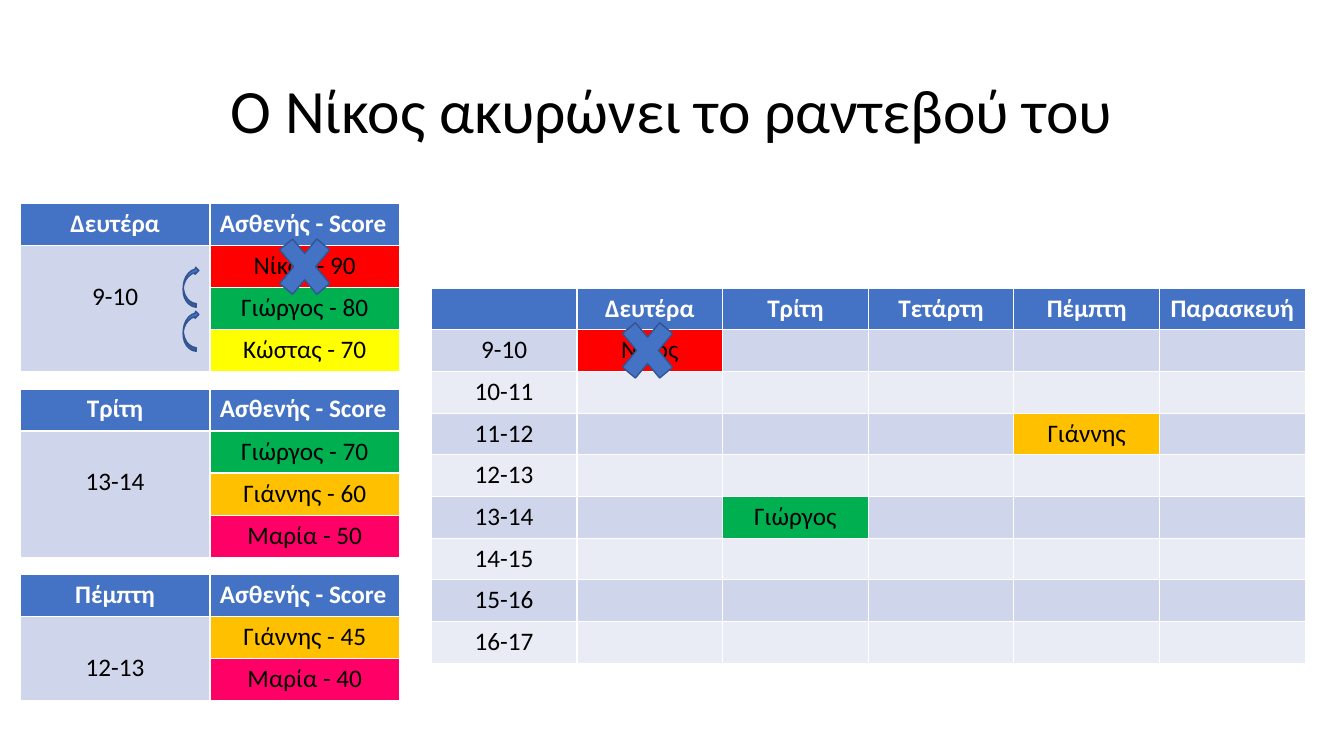
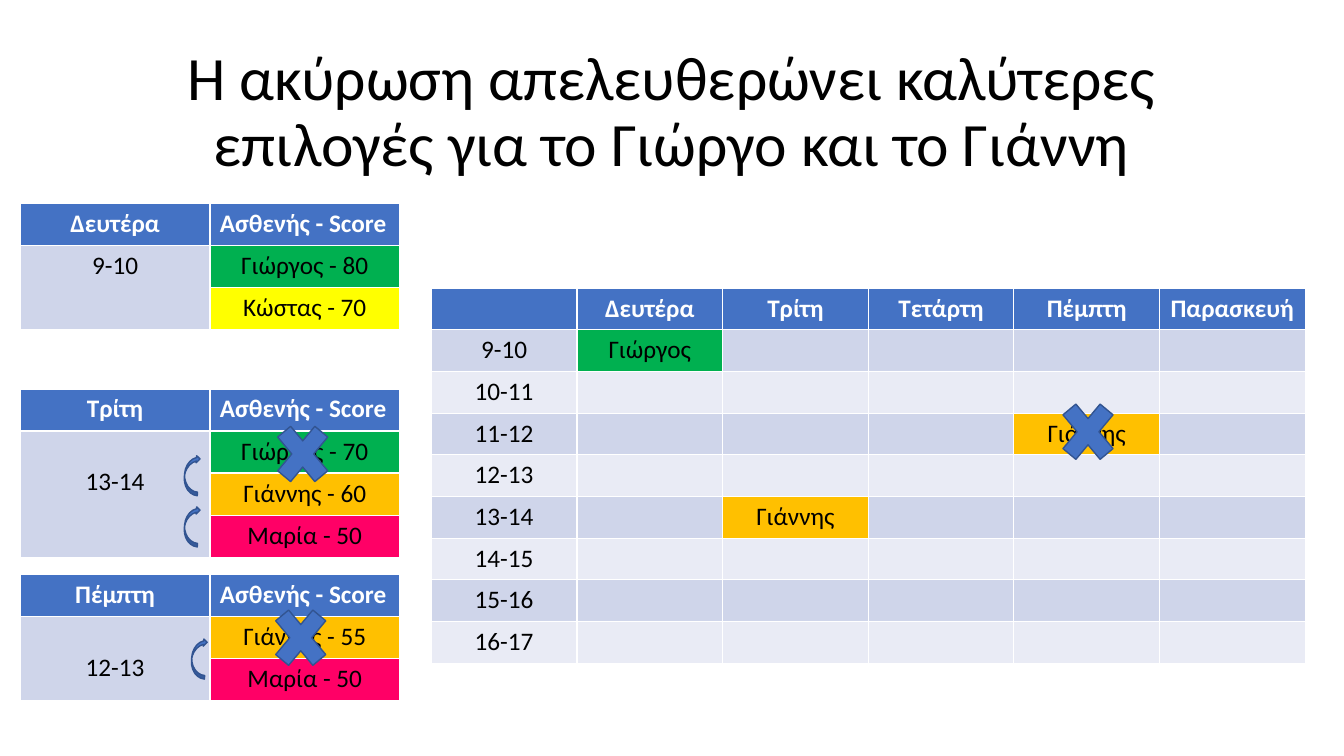
from pptx import Presentation
from pptx.dml.color import RGBColor as RGB
from pptx.enum.shapes import MSO_SHAPE as Kind
from pptx.enum.text import MSO_ANCHOR as Anchor, MSO_AUTO_SIZE as Fit, PP_ALIGN as Align
from pptx.util import Cm, Pt

HUES = {"head": "4472C4", "edge": "325491", "odd": "CFD5EA", "even": "E9EBF5",
        "white": "FFFFFF", "black": "000000"}
NAMES = {"Νίκος": "FF0000", "Γιώργος": "00B050", "Κώστας": "FFFF00",
         "Γιάννης": "FFC000", "Μαρία": "FF0066"}
DAYS = ["Δευτέρα", "Τρίτη", "Τετάρτη", "Πέμπτη", "Παρασκευή"]
HOURS = [f"{h}-{h + 1}" for h in range(9, 17)]


class Deck:
    font = "Calibri"

    def __init__(self):
        self.prs = Presentation()
        self.prs.slide_width, self.prs.slide_height = Cm(33.87), Cm(19.05)

    def style(self, par, size, hue, bold=False, align=Align.CENTER):
        par.alignment = align
        par.font.name, par.font.size, par.font.bold = self.font, Pt(size), bold
        par.font.color.rgb = RGB.from_string(HUES[hue])

    def page(self, text):
        self.slide = self.prs.slides.add_slide(self.prs.slide_layouts[5])
        title = self.slide.shapes.title
        title.left, title.top = Cm(2.33), Cm(1.02)
        title.width, title.height = Cm(29.21), Cm(3.68)
        frame = title.text_frame
        frame.text = text
        frame.word_wrap, frame.auto_size = True, Fit.NONE
        frame.vertical_anchor = Anchor.MIDDLE
        par = frame.paragraphs[0]
        self.style(par, 44, "black")
        par.line_spacing = 0.9

    def cell(self, cell, text, fill, hue="black", bold=False, align=Align.CENTER):
        cell.fill.solid()
        cell.fill.fore_color.rgb = RGB.from_string(fill)
        if text:
            cell.text = text
            self.style(cell.text_frame.paragraphs[0], 18, hue, bold, align)

    def head(self, cell, text, align=Align.CENTER):
        self.cell(cell, text, HUES["head"], "white", True, align)

    def table(self, rows, cols, x, y, wide, high):
        table = self.slide.shapes.add_table(
            rows, cols, Cm(x), Cm(y), Cm(wide * cols), Cm(high * rows)).table
        for col in table.columns:
            col.width = Cm(wide)
        for row in table.rows:
            row.height = Cm(high)
        return table

    def week(self, booked):
        """Weekly timetable; booked maps (day, hour) to a patient."""
        table = self.table(len(HOURS) + 1, len(DAYS) + 1, 10.87, 7.26, 3.67, 1.05)
        for c, day in enumerate(["", *DAYS]):
            self.head(table.cell(0, c), day)
        for r, hour in enumerate(HOURS, 1):
            band = HUES["odd" if r % 2 else "even"]
            self.cell(table.cell(r, 0), hour, band)
            for c, day in enumerate(DAYS, 1):
                name = booked.get((day, hour), "")
                self.cell(table.cell(r, c), name, NAMES.get(name, band))

    def queue(self, spot, day, hour, scores, low=True):
        """Ranked patients for one slot; low drops the hour by one line."""
        table = self.table(len(scores) + 1, 2, 0.51, 5.13 + 4.67 * spot, 4.78, 1.06)
        self.head(table.cell(0, 0), day)
        self.head(table.cell(0, 1), "Ασθενής - Score", Align.LEFT)
        slot = table.cell(1, 0)
        slot.merge(table.cell(len(scores), 0))
        self.cell(slot, hour, HUES["odd"])
        if low:
            slot.margin_top = Cm(0.9)
        for r, (name, score) in enumerate(scores, 1):
            self.cell(table.cell(r, 1), f"{name} - {score}", NAMES[name])

    def mark(self, kind, x, y, wide, high, turn=0):
        shape = self.slide.shapes.add_shape(kind, Cm(x), Cm(y), Cm(wide), Cm(high))
        shape.rotation = turn
        shape.shadow.inherit = False
        shape.fill.solid()
        shape.fill.fore_color.rgb = RGB.from_string(HUES["head"])
        shape.line.color.rgb = RGB.from_string(HUES["edge"])
        shape.line.width = Pt(1)

    def cross(self, x, y):
        self.mark(Kind.MATH_MULTIPLY, x, y, 1.8, 2.16)

    def arrow(self, x, y):
        self.mark(Kind.CURVED_LEFT_ARROW, x, y, 0.36, 1.02, 184.3)


deck = Deck()
tue = [("Γιώργος", 70), ("Γιάννης", 60), ("Μαρία", 50)]

# Cancellation
deck.page("Ο Νίκος ακυρώνει το ραντεβού του")
deck.week({("Δευτέρα", "9-10"): "Νίκος", ("Πέμπτη", "11-12"): "Γιάννης",
           ("Τρίτη", "13-14"): "Γιώργος"})
deck.queue(0, "Δευτέρα", "9-10", [("Νίκος", 90), ("Γιώργος", 80), ("Κώστας", 70)])
deck.queue(1, "Τρίτη", "13-14", tue)
deck.queue(2, "Πέμπτη", "12-13", [("Γιάννης", 45), ("Μαρία", 40)])
for x, y in [(6.78, 5.64), (15.42, 7.75)]:
    deck.cross(x, y)
for y in (6.71, 7.82):
    deck.arrow(4.62, y)

# Better slots freed
deck.page("Η ακύρωση απελευθερώνει καλύτερες επιλογές για το Γιώργο και το Γιάννη")
deck.week({("Δευτέρα", "9-10"): "Γιώργος", ("Πέμπτη", "11-12"): "Γιάννης",
           ("Τρίτη", "13-14"): "Γιάννης"})
deck.queue(0, "Δευτέρα", "9-10", [("Γιώργος", 80), ("Κώστας", 70)], low=False)
deck.queue(1, "Τρίτη", "13-14", tue)
deck.queue(2, "Πέμπτη", "12-13", [("Γιάννης", 55), ("Μαρία", 50)])
for x, y in [(6.73, 10.36), (6.68, 14.99), (26.52, 9.8)]:
    deck.cross(x, y)
for x, y in [(4.65, 11.46), (4.65, 12.75), (4.83, 16.08)]:
    deck.arrow(x, y)

deck.prs.save("out.pptx")
